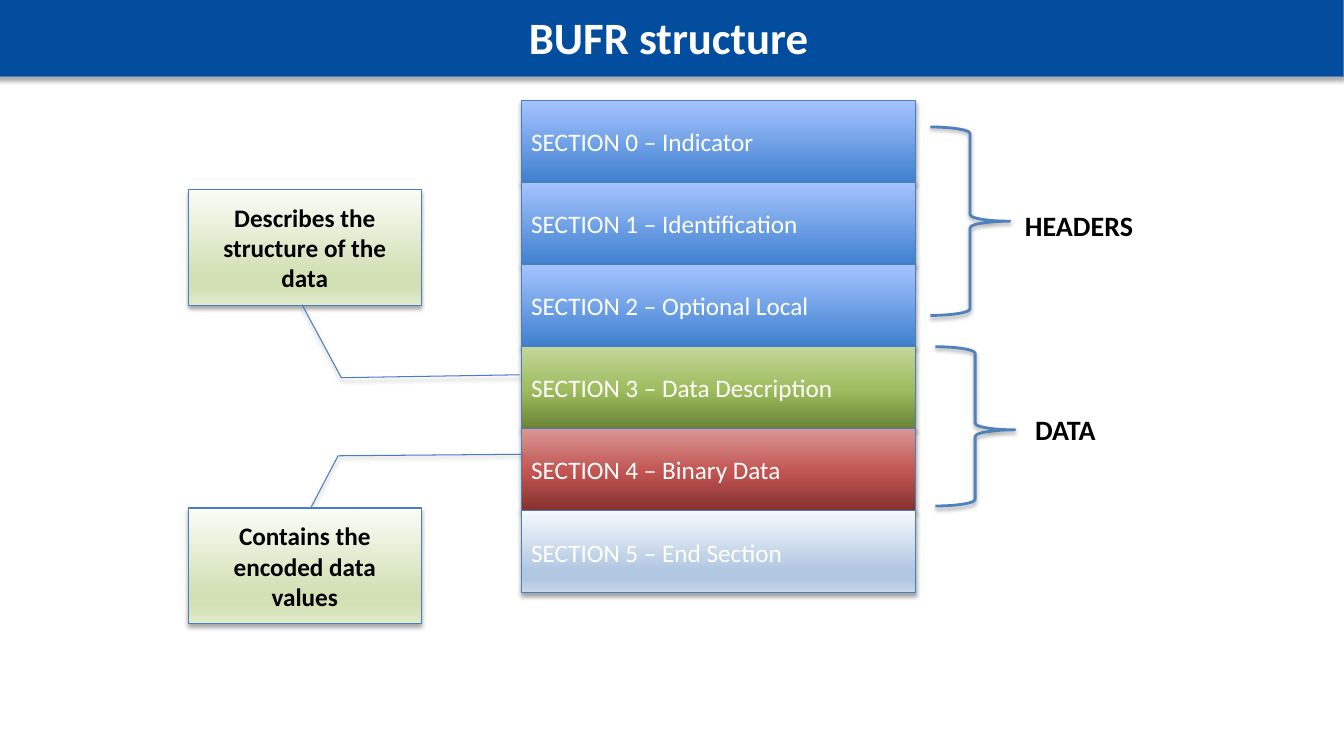
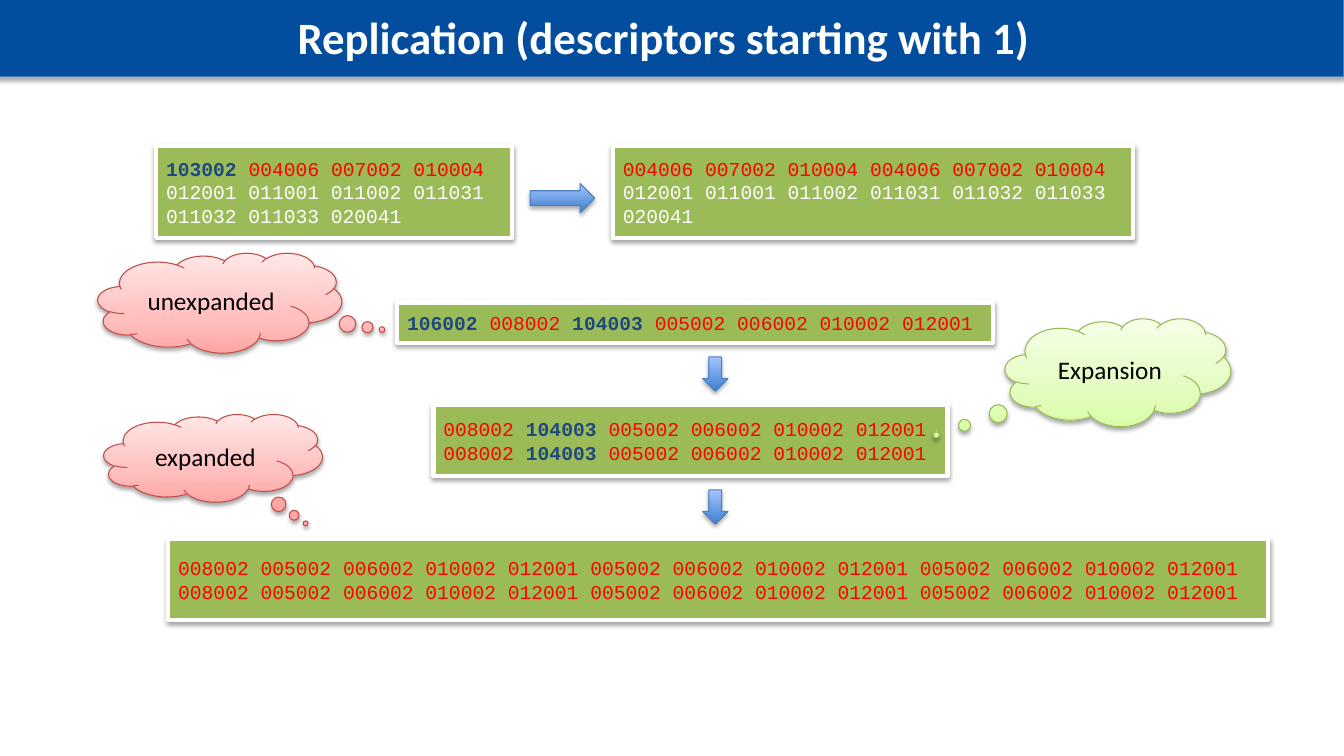
from dataclasses import dataclass

from pptx import Presentation
from pptx import util as u
from pptx.dml.color import RGBColor
from pptx.enum import shapes, text
from pptx.oxml import parse_xml
from pptx.oxml.ns import nsdecls

KIND = shapes.MSO_SHAPE
LEFT, CENTER = text.PP_ALIGN.LEFT, text.PP_ALIGN.CENTER


@dataclass(frozen=True)
class Theme:
    band = "034D9E"
    edge = "4B7EBC"
    white, black, red, navy = "FFFFFF", "000000", "FF0000", "1F497D"
    # Gradients run from top to bottom as (position, colour)
    blue = ((0, "A4C4FF"), (100, "3F80CE"))
    green = ((0, "C3D69B"), (52, "9EBD5E"), (100, "6A8336"))
    brick = ((0, "D99694"), (52, "C25552"), (100, "85312F"))
    pale_blue = ((0, "F6F9FC"), (74, "B0C6E1"), (83, "B0C6E1"), (100, "CAD9EB"))
    pale_green = ((0, "FAFCF7"), (74, "D2E0B4"), (83, "D2E0B4"), (100, "E1EBCD"))
    lime = ((0, "F5FFE7"), (65, "E4FCC2"), (100, "DAFDA7"))
    pink = ((0, "FFE7E7"), (65, "FFC0BF"), (100, "FFA6A5"))
    title = {"name": "Calibri", "size": u.Pt(32), "bold": True}
    label = {"name": "Calibri", "size": u.Pt(20), "bold": True}
    note = {"name": "Calibri", "size": u.Pt(18), "bold": True}
    body = {"name": "Calibri", "size": u.Pt(18), "bold": False}
    code = {"name": "Courier New", "size": u.Pt(14), "bold": False}
    operator = {**code, "bold": True}


T = Theme()
deck = Presentation()
deck.slide_width, deck.slide_height = u.Inches(13.33), u.Inches(7.5)


def dress(shape, box, fill=None, line=T.edge, width=0.75):
    """Place a shape by percentages of the slide and give it fill, line and shadow."""
    spans = (deck.slide_width, deck.slide_height) * 2
    for side, share, span in zip(("left", "top", "width", "height"), box, spans):
        setattr(shape, side, int(span * share / 100))
    if fill is None:
        shape.fill.background()
    else:
        shape.fill.solid()
        shape.fill.fore_color.rgb = RGBColor.from_string(fill if isinstance(fill, str) else T.white)
    if isinstance(fill, tuple):
        stops = "".join(f'<a:gs pos="{at * 1000}"><a:srgbClr val="{color}"/></a:gs>' for at, color in fill)
        gradient = parse_xml(f'<a:gradFill {nsdecls("a")} rotWithShape="1"><a:gsLst>{stops}</a:gsLst>'
                             '<a:lin ang="5400000" scaled="0"/></a:gradFill>')
        properties = shape._element.spPr
        properties.replace(properties.find("{*}solidFill"), gradient)
    shape.shadow.inherit = False
    if line is None:
        shape.line.fill.background()
        return shape
    shape.line.color.rgb = RGBColor.from_string(line)
    shape.line.width = u.Pt(width)
    shape._element.spPr.find("{*}effectLst").append(parse_xml(
        f'<a:outerShdw {nsdecls("a")} blurRad="40000" dist="23000" dir="5400000" rotWithShape="0">'
        '<a:srgbClr val="000000"><a:alpha val="35000"/></a:srgbClr></a:outerShdw>'))
    return shape


def write(shape, runs, align=LEFT, anchor=text.MSO_ANCHOR.MIDDLE):
    """Fill one paragraph with runs of (words, font format, colour)."""
    frame = shape.text_frame
    frame.word_wrap, frame.vertical_anchor = True, anchor
    paragraph = frame.paragraphs[0]
    paragraph.alignment = align
    for words, font, color in runs:
        run = paragraph.add_run()
        run.text = words
        for attribute, value in font.items():
            setattr(run.font, attribute, value)
        run.font.color.rgb = RGBColor.from_string(color)


pages = []
for heading in ("BUFR structure", "Replication (descriptors starting with 1) "):
    page = deck.slides.add_slide(deck.slide_layouts[5])
    banner = dress(page.shapes.title, (-0.45, -0.53, 100.42, 10.67), T.band)
    write(banner, [(heading, T.title, T.white)], CENTER)
    pages.append(page.shapes)
structure, replication = pages

# BUFR structure: the stack of sections
SECTION_TOP, SECTION_HEIGHT = 13.33, 10.85
sections = (("Indicator", T.blue), ("Identification", T.blue), ("Optional Local", T.blue),
            ("Data Description", T.green), ("Binary Data", T.brick), ("End Section", T.pale_blue))
stack = structure.add_group_shape().shapes
for number, (name, fill) in enumerate(sections):
    section = dress(stack.add_shape(KIND.RECTANGLE, 0, 0, 0, 0),
                    (38.78, SECTION_TOP + number * SECTION_HEIGHT, 29.32, SECTION_HEIGHT), fill)
    write(section, [(f"SECTION {number} – {name}", T.body, T.white)])

# Braces naming the parts of the message
for part, brace_box, bend, label_at in (
        ("HEADERS", (69.22, 16.8, 5.92, 24.93), (0.083, 0.5), (75.52, 26.93)),
        ("DATA", (69.6, 45.87, 5.92, 21.07), (0.083, 0.522), (76.28, 53.87))):
    brace = dress(structure.add_shape(KIND.RIGHT_BRACE, 0, 0, 0, 0), brace_box, line="4F81BD", width=2)
    brace.adjustments[0], brace.adjustments[1] = bend
    label = dress(structure.add_textbox(0, 0, 0, 0), (*label_at, 15.68, 5.87), line=None)
    write(label, [(part, T.label, T.black)], anchor=text.MSO_ANCHOR.TOP)

# Callouts to the data sections
for remark, top, leader in (
        ("Describes the structure of the data", 25.07, (0.993, 0.488, 1.624, 0.657, 1.599, 1.423)),
        ("Contains the encoded data values", 67.2, (0.006, 0.524, -0.451, 0.643, -0.464, 1.435))):
    callout = dress(structure.add_shape(KIND.LINE_CALLOUT_2, 0, 0, 0, 0),
                    (14.02, top, 17.32, 15.33), T.pale_green)
    for index, value in enumerate(leader):
        callout.adjustments[index] = value
    write(callout, [(remark, T.note, T.black)], CENTER)

# Replication: descriptor lists before and after expansion
TRIPLE = "004006 007002 010004 "
REST = ("012001 011001 011002 011031 011032 011033 020041", T.code, T.white)
QUAD = " 005002 006002 010002 012001"
half_expanded = [("008002 ", T.code, T.red), ("104003", T.operator, T.navy), (QUAD, T.code, T.red)]
fully_expanded = "008002" + QUAD * 3
descriptor_lists = (
    ((11.62, 19.33, 26.48, 12.13), [("103002 ", T.operator, T.navy), (TRIPLE, T.code, T.red), REST]),
    ((45.6, 19.33, 38.7, 12.13), [(TRIPLE * 2, T.code, T.red), REST]),
    ((29.55, 40, 44.32, 5.33), [("106002 ", T.operator, T.navy), *half_expanded]),
    ((32.25, 53.6, 38.25, 9.33), [*half_expanded, (" ", T.code, T.red), *half_expanded]),
    ((12.52, 71.33, 81.82, 10.67), [(f"{fully_expanded} {fully_expanded}", T.code, T.red)]),
)
for box, runs in descriptor_lists:
    write(dress(replication.add_shape(KIND.RECTANGLE, 0, 0, 0, 0), box, "9BBB59", T.white, 3), runs)

for direction, box in ((KIND.RIGHT_ARROW, (39.45, 24.27, 4.8, 3.87)),
                       (KIND.DOWN_ARROW, (52.28, 47.2, 1.88, 4.53)),
                       (KIND.DOWN_ARROW, (52.28, 64.8, 1.88, 4.53))):
    dress(replication.add_shape(direction, 0, 0, 0, 0), box, T.blue)

for thought, box, tail, fill, line in (
        ("Expansion", (74.78, 42.13, 16.8, 14.27), (-0.804, 0.58), T.lime, "98B955"),
        ("unexpanded", (7.28, 33.47, 18.15, 13.2), (0.665, 0.267), T.pink, "BF4C48"),
        ("expanded", (7.72, 54.8, 16.28, 11.6), (0.423, 0.745), T.pink, "BF4C48")):
    cloud = dress(replication.add_shape(KIND.CLOUD_CALLOUT, 0, 0, 0, 0), box, fill, line)
    cloud.adjustments[0], cloud.adjustments[1] = tail
    write(cloud, [(thought, T.body, T.black)], CENTER)

deck.save("out.pptx")
